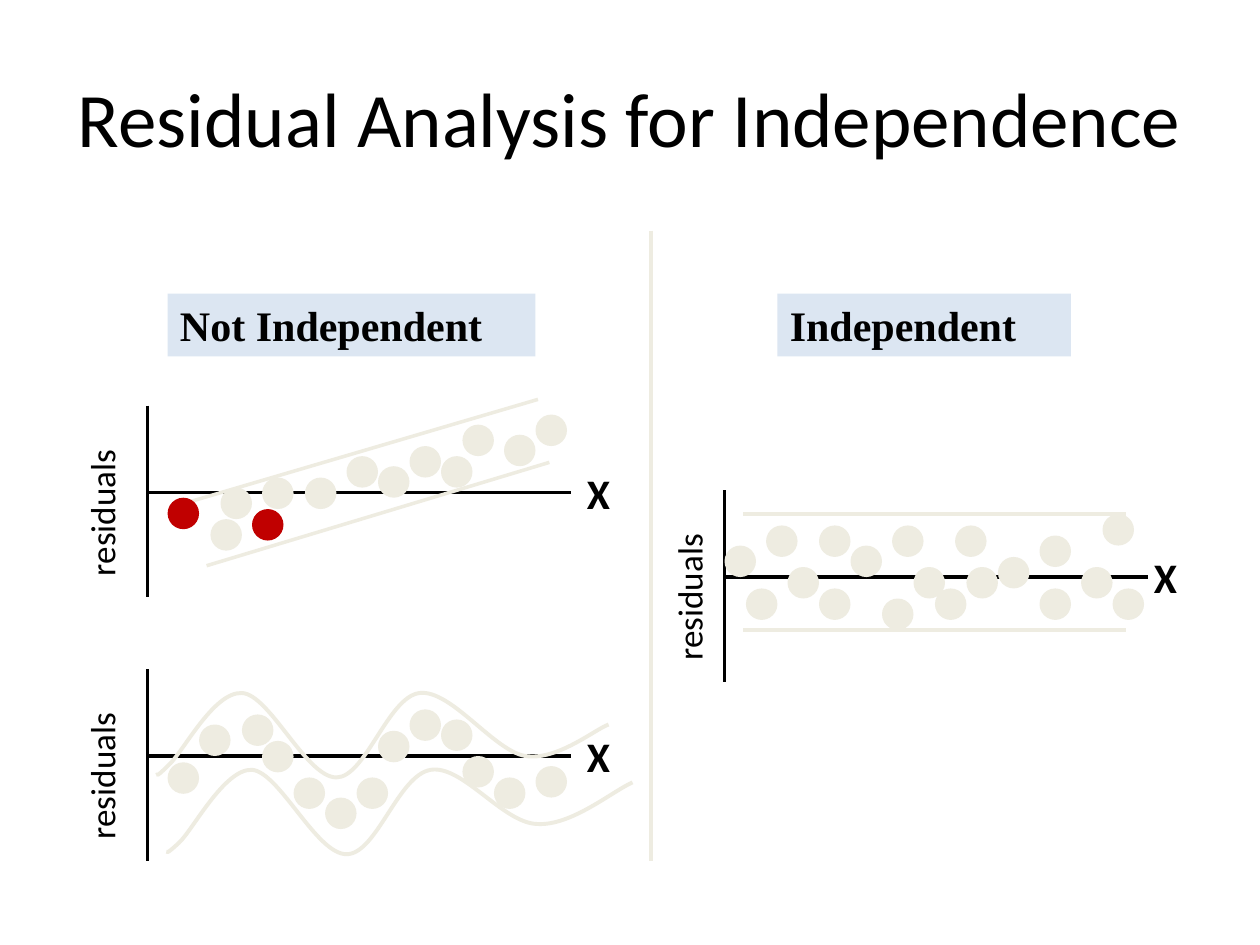
from dataclasses import dataclass

from lxml import etree
from pptx import Presentation
from pptx import util as u
from pptx.dml.color import RGBColor
from pptx.enum import shapes, text
from pptx.oxml import ns


@dataclass(frozen=True)
class Theme:
    """Colours, fonts, type sizes and line widths."""
    ink: str = "000000"
    pale: str = "EEECE1"
    band: str = "DCE6F2"
    accent: str = "C00000"
    sans: str = "Calibri"
    serif: str = "Times New Roman"
    title: int = 44
    label: int = 24
    axis: int = 20
    thin: float = 2
    thick: float = 2.25


THEME = Theme()
DOT = 0.25

TREND_DOTS = [
    (1.75, 3.87), (1.67, 4.12), (2.08, 3.79), (2.42, 3.79), (3.25, 3.54), (3, 3.7),
    (2.75, 3.62), (4, 3.45), (3.67, 3.37), (3.5, 3.62), (4.25, 3.29),
]
ACCENT_DOTS = [(2, 4.04), (1.33, 3.95)]
RANDOM_DOTS = [
    (6.5, 4.17), (6.5, 4.67), (6.25, 4.5), (5.92, 4.67), (5.75, 4.33), (6.08, 4.17),
    (7.58, 4.17), (7.42, 4.67), (7.25, 4.5), (7, 4.75), (7.08, 4.17), (6.75, 4.33),
    (8.25, 4.67), (7.92, 4.42), (7.67, 4.5), (8.58, 4.5), (8.75, 4.08), (8.25, 4.25),
    (8.83, 4.67),
]
WAVE_DOTS = [
    (1.92, 5.67), (1.58, 5.75), (2.08, 5.88), (2.33, 6.17), (2.58, 6.33), (1.33, 6.05),
    (3.25, 5.63), (3, 5.8), (2.83, 6.17), (3.92, 6.17), (3.67, 6), (3.5, 5.71),
    (4.25, 6.08),
]
UPPER_WAVE = [
    (1.24, 6.15), (1.26, 6.13), (1.22, 6.19), (1.33, 6.08), (1.45, 5.98), (1.69, 5.49),
    (1.92, 5.5), (2.14, 5.51), (2.43, 6.17), (2.67, 6.17), (2.9, 6.17), (3.08, 5.53),
    (3.33, 5.5), (3.58, 5.47), (3.92, 5.96), (4.17, 6), (4.42, 6.04), (4.72, 5.79),
    (4.83, 5.75),
]
LOWER_WAVE = [
    (1.32, 6.76), (1.34, 6.75), (1.3, 6.8), (1.42, 6.69), (1.53, 6.59), (1.78, 6.1),
    (2, 6.11), (2.22, 6.13), (2.51, 6.78), (2.75, 6.78), (2.99, 6.78), (3.16, 6.15),
    (3.42, 6.11), (3.67, 6.07), (3.99, 6.53), (4.26, 6.54), (4.53, 6.56), (4.86, 6.28),
    (5.02, 6.21),
]


def inches(*values):
    """Turn numbers into lengths."""
    return [u.Inches(value) for value in values]


def write(box, words, size, font=THEME.sans, bold=False, align=text.PP_ALIGN.LEFT):
    """Put one styled run into a shape, vertically centred."""
    frame = box.text_frame
    frame.word_wrap = True
    frame.vertical_anchor = text.MSO_ANCHOR.MIDDLE
    para = frame.paragraphs[0]
    para.alignment = align
    span = para.add_run()
    span.text = words
    span.font.size = u.Pt(size)
    span.font.name = font
    span.font.bold = bold
    span.font.color.rgb = RGBColor.from_string(THEME.ink)


def add_text(page, at, words, size, rotation=0, **style):
    """Add a text box."""
    box = page.shapes.add_textbox(*inches(*at))
    box.rotation = rotation
    write(box, words, size, **style)


def add_filled(page, kind, at, color):
    """Add a preset shape with a plain fill and no outline."""
    shape = page.shapes.add_shape(kind, *inches(*at))
    shape.shadow.inherit = False
    shape.fill.solid()
    shape.fill.fore_color.rgb = RGBColor.from_string(color)
    shape.line.fill.background()
    return shape


def add_heading(page, at, words):
    """Add a banded column heading."""
    box = add_filled(page, shapes.MSO_SHAPE.RECTANGLE, at, THEME.band)
    write(box, words, THEME.label, font=THEME.serif, bold=True)


def add_line(page, start, end, color=THEME.pale, width=THEME.thin):
    """Add a straight line."""
    line = page.shapes.add_connector(shapes.MSO_CONNECTOR.STRAIGHT, *inches(*start, *end))
    line.line.color.rgb = RGBColor.from_string(color)
    line.line.width = u.Pt(width)
    etree.SubElement(line._element.spPr, ns.qn("a:effectLst"))


def add_dots(page, corners, color=THEME.pale):
    """Add residual dots at their top left corners."""
    for left, top in corners:
        add_filled(page, shapes.MSO_SHAPE.OVAL, (left, top, DOT, DOT), color)


def bend(shape):
    """Turn each three line segments of a freeform into one cubic curve."""
    segments = list(shape._element.iter(ns.qn("a:lnTo")))
    for first in range(0, len(segments), 3):
        group = segments[first:first + 3]
        outline = group[0].getparent()
        curve = etree.SubElement(outline, ns.qn("a:cubicBezTo"))
        for segment in group:
            curve.append(segment[0])
            outline.remove(segment)


def add_wave(page, controls):
    """Add an open curved outline."""
    start, *rest = [tuple(inches(*point)) for point in controls]
    builder = page.shapes.build_freeform(*start)
    builder.add_line_segments(rest, close=False)
    wave = builder.convert_to_shape()
    bend(wave)
    wave.shadow.inherit = False
    wave.fill.background()
    wave.line.color.rgb = RGBColor.from_string(THEME.pale)
    wave.line.width = u.Pt(THEME.thick)


def add_axes(page, left, middle, inset=0):
    """Add a residual plot's axes and the horizontal axis name."""
    top = middle - 0.69
    add_line(page, (left, top), (left, top + 1.52), THEME.ink)
    add_line(page, (left, middle), (left + 3.36, middle), THEME.ink)
    add_text(page, (left + 3.39 - inset, middle - 0.25, 0.54, 0.5), "X",
             THEME.label, bold=True)


def add_axis_name(page, left, middle):
    """Add the turned name of a vertical axis."""
    add_text(page, (left, middle - 0.17, 1.43, 0.43), "residuals", THEME.axis, rotation=270)


def main():
    """Build and save the slide."""
    deck = Presentation()
    deck.slide_width, deck.slide_height = inches(10, 7.5)
    page = deck.slides.add_slide(deck.slide_layouts[6])

    add_text(page, (0.5, 0.3, 9, 1.25), "Residual Analysis for Independence",
             THEME.title, align=text.PP_ALIGN.CENTER)
    add_heading(page, (1.33, 2.33, 2.92, 0.5), "Not Independent")
    add_heading(page, (6.17, 2.33, 2.33, 0.5), "Independent")

    add_axes(page, 1.17, 3.91)
    add_line(page, (1.48, 3.99), (4.27, 3.17))
    add_line(page, (1.64, 4.49), (4.36, 3.67))
    add_dots(page, TREND_DOTS)
    add_dots(page, ACCENT_DOTS, THEME.accent)

    add_axes(page, 5.75, 4.58, inset=0.08)
    for height in (4.08, 5):
        add_line(page, (5.9, height), (8.94, height))
    add_dots(page, RANDOM_DOTS)
    add_axis_name(page, 0.09, 3.91)
    add_axis_name(page, 4.75, 4.58)

    add_axes(page, 1.17, 6)
    add_dots(page, WAVE_DOTS)
    add_axis_name(page, 0.09, 6)
    for controls in (UPPER_WAVE, LOWER_WAVE):
        add_wave(page, controls)
    add_line(page, (5.17, 1.83), (5.17, 6.83), width=THEME.thick)

    deck.save("out.pptx")


if __name__ == "__main__":
    main()
